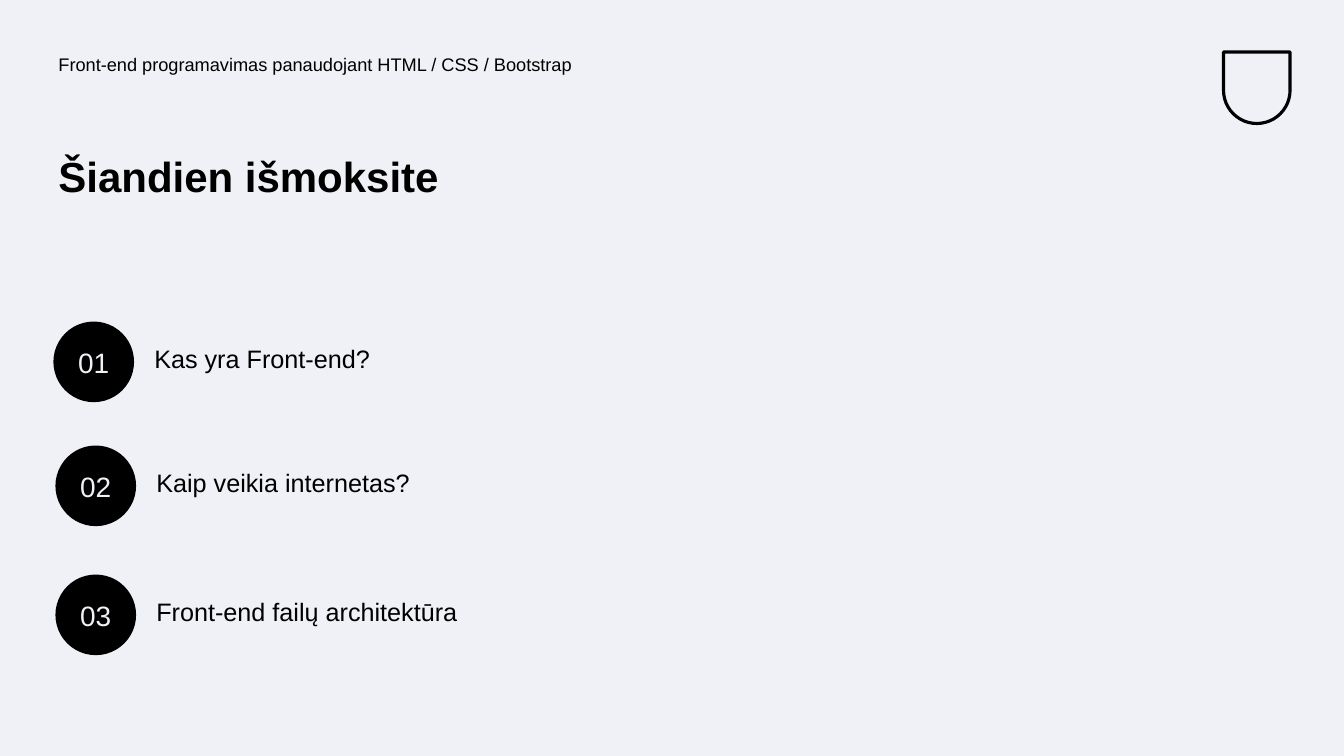
import pptx
import pptx.util
import pptx.dml.color
import pptx.enum.shapes
import pptx.enum.text
import pptx.oxml.ns
import lxml.etree

COLORS = {"ink": "000000", "paper": "F0F1F6"}
FONT = "Arial"
CELL = pptx.util.Inches(0.1)
SHAPES = pptx.enum.shapes.MSO_SHAPE


def place(sp, col, row, cols, rows):
    sp.left, sp.top, sp.width, sp.height = (round(n * CELL) for n in (col, row, cols, rows))


def write(sp, text, size, color="ink", bold=False, spacing=1.0, align="LEFT", anchor="TOP"):
    tf = sp.text_frame
    tf.word_wrap = True
    tf.auto_size = pptx.enum.text.MSO_AUTO_SIZE.NONE
    tf.vertical_anchor = getattr(pptx.enum.text.MSO_ANCHOR, anchor)
    tf.margin_left = tf.margin_right = tf.margin_top = tf.margin_bottom = pptx.util.Inches(0.05)
    p = tf.paragraphs[0]
    p.alignment = getattr(pptx.enum.text.PP_ALIGN, align)
    p.line_spacing = spacing
    p.space_before = pptx.util.Pt(0)
    pPr = p._p.get_or_add_pPr()
    pPr.set("marL", "0")
    pPr.set("indent", "0")
    lxml.etree.SubElement(pPr, pptx.oxml.ns.qn("a:buNone"))
    r = p.add_run()
    r.text = text
    r.font.name = FONT
    r.font.size = pptx.util.Pt(size)
    r.font.bold = bold
    r.font.color.rgb = pptx.dml.color.RGBColor.from_string(COLORS[color])


prs = pptx.Presentation()
prs.slide_width = pptx.util.Inches(13.33)
prs.slide_height = pptx.util.Inches(7.5)
s = prs.slides.add_slide(prs.slide_layouts.get_by_name("Comparison"))
s.background.fill.solid()
s.background.fill.fore_color.rgb = pptx.dml.color.RGBColor.from_string(COLORS["paper"])

ink = pptx.dml.color.RGBColor.from_string(COLORS["ink"])
title = s.shapes.title
course, *labels = [sp for sp in s.placeholders if 1 <= sp.placeholder_format.idx <= 4]

place(course, 5.3, 5, 61.4, 5)
write(course, "Front-end programavimas panaudojant HTML / CSS / Bootstrap", 13, spacing=0.9)
place(title, 5.3, 15, 56.4, 14.9)
write(title, "Šiandien išmoksite", 30, bold=True, spacing=0.9)

badge = s.shapes.add_shape(SHAPES.ROUND_2_SAME_RECTANGLE, 0, 0, CELL, CELL)
place(badge, 121.35, 5.15, 6.6, 7.1)
badge.rotation = 180
badge.adjustments[0] = 0.5
badge.shadow.inherit = False
badge.fill.background()
badge.line.color.rgb = ink
badge.line.width = pptx.util.Pt(2.25)

topics = [
    ("Kas yra Front-end?", 5.3, 31.9),
    ("Kaip veikia internetas?", 5.5, 44.2),
    ("Front-end failų architektūra", 5.5, 57),
]
for number, (label, (topic, col, row)) in enumerate(zip(labels, topics), 1):
    place(label, col + 9.5, row + 1.7, 46.3, 4.4)
    write(label, topic, 18)
    disc = s.shapes.add_shape(SHAPES.OVAL, 0, 0, CELL, CELL)
    place(disc, col, row, 8, 8)
    disc.shadow.inherit = False
    disc.fill.solid()
    disc.fill.fore_color.rgb = ink
    disc.line.fill.background()
    write(disc, f"{number:02d}", 20, color="paper", align="CENTER", anchor="MIDDLE")

prs.save("out.pptx")
